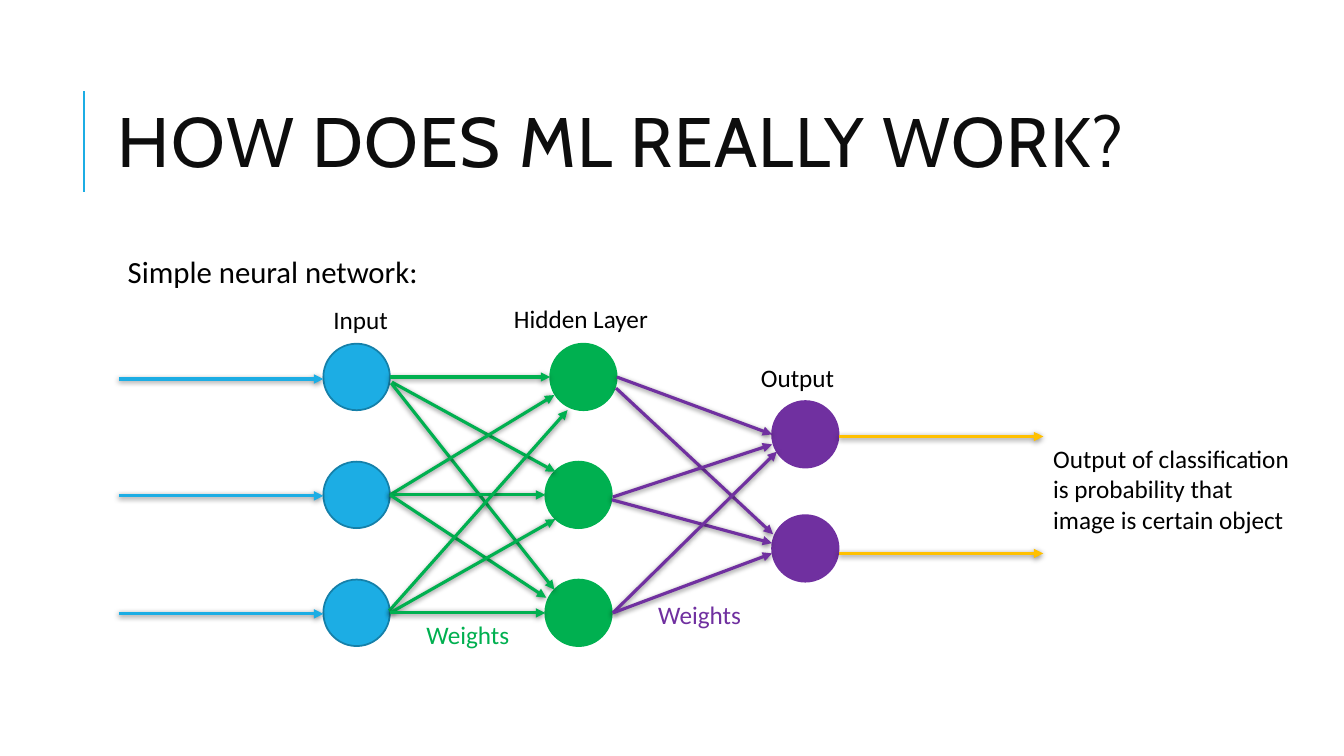
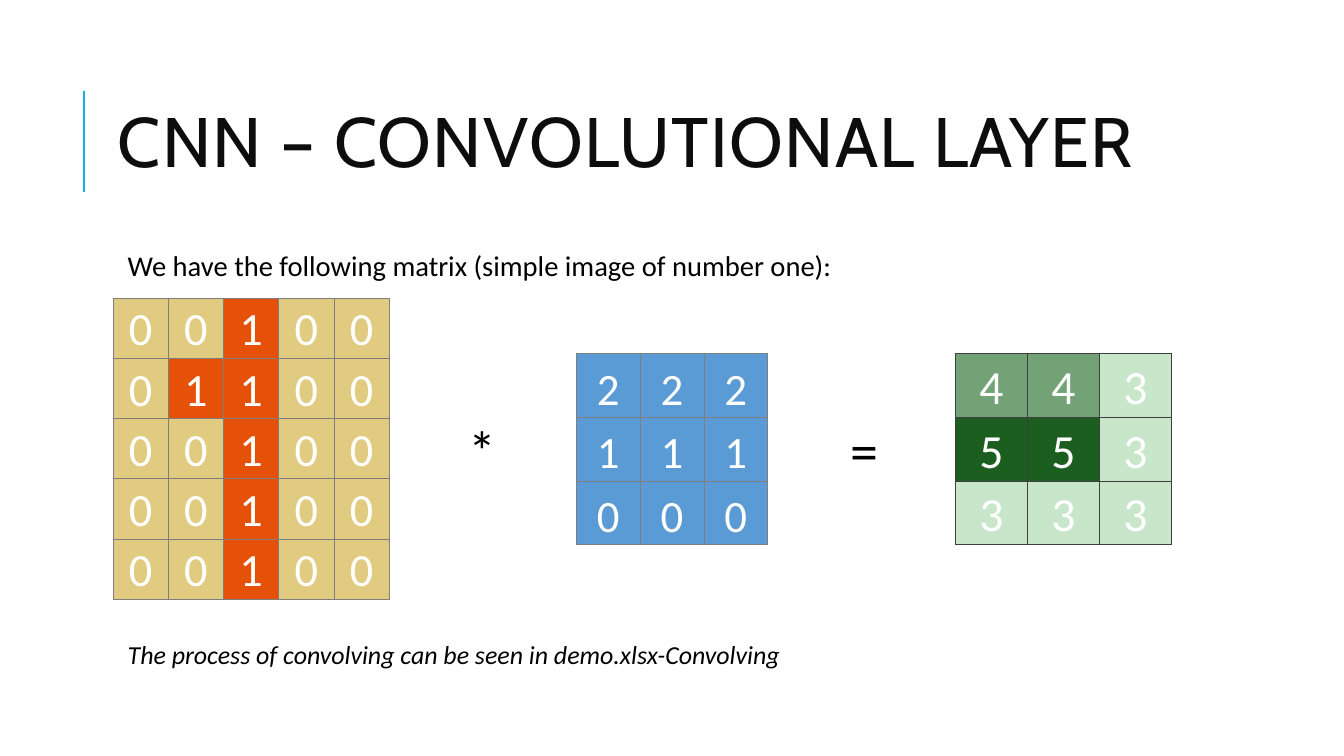
from itertools import product

from lxml.etree import SubElement
from pptx import Presentation
from pptx.dml.color import RGBColor
from pptx.enum.shapes import MSO_CONNECTOR, MSO_SHAPE
from pptx.enum.text import MSO_ANCHOR, PP_ALIGN
from pptx.oxml import parse_xml
from pptx.oxml.ns import nsdecls, qn
from pptx.util import Pt

BLUE, GREEN, PURPLE, AMBER = "1CADE4", "00B050", "7030A0", "FFC000"
BLACK, WHITE, GREY, DARK_GREY = "000000", "FFFFFF", "7F7F7F", "3F3F3F"

NODE_SIZE = 47.5
NODES = [
    (BLUE, "1580A9", [(231, 245.5), (231, 329.75), (231, 414)]),
    (GREEN, GREEN, [(393, 245.5), (389.5, 329.75), (389.5, 414)]),
    (PURPLE, PURPLE, [(551.5, 286.5), (551.5, 368)]),
]
ARROWS = {
    BLUE: [(85, y, 231, y) for y in (270.7, 354.2, 438.5)],
    GREEN: [
        (278.6, 269.3, 393, 269.3),
        (280, 273, 396.7, 337),
        (279.4, 273.6, 396, 421.2),
        (278.6, 353.5, 396, 282.2),
        (278.6, 353.5, 389.5, 353.5),
        (278.6, 353.5, 390.2, 427),
        (278, 436.3, 405.4, 293),
        (278.6, 437.8, 396.7, 370.8),
        (278.6, 437.8, 389.5, 437.8),
    ],
    PURPLE: [
        (440.6, 269.3, 551.5, 310.3),
        (440, 277.2, 552.2, 381.6),
        (437.8, 355, 551.5, 317.5),
        (437, 357, 551.5, 388),
        (437.8, 437.8, 555, 322.6),
        (437.8, 437.8, 551.5, 395.3),
    ],
    AMBER: [(599, y, 745.2, y) for y in (311.8, 395.3)],
}
LABELS = [
    ("Output of classification is probability that image is certain object", 745.2, 313.2, 189.4, BLACK),
    ("Output", 536.4, 255.6, 75.6, BLACK),
    ("Input", 231, 214, 75.6, BLACK),
    ("Hidden Layer", 360, 213, 114.5, BLACK),
    ("Weights", 297.4, 438.5, 75.6, GREEN),
    ("Weights", 463, 424.8, 75.6, PURPLE),
]

IMAGE_FILLS = {"0": "E1CB80", "1": "E65109"}
KERNEL_FILLS = dict.fromkeys("012", "5B9BD5")
RESULT_FILLS = {"3": "C8E6C9", "4": "72A275", "5": "1B5E20"}


def color(value):
    return RGBColor.from_string(value)


def write(frame, text, size=18, ink=BLACK, font="Calibri", italic=False, align=PP_ALIGN.LEFT, spacing=1.0):
    para = frame.paragraphs[0]
    para.alignment = align
    para.line_spacing = spacing
    span = para.add_run()
    span.text = text
    span.font.name = font
    span.font.size = Pt(size)
    span.font.italic = italic
    span.font.color.rgb = color(ink)
    return span


def set_margins(target, left, top, right, bottom):
    target.margin_left, target.margin_top = Pt(left), Pt(top)
    target.margin_right, target.margin_bottom = Pt(right), Pt(bottom)


class Designer:
    def __init__(self):
        self.deck = Presentation()
        self.deck.slide_width, self.deck.slide_height = Pt(960), Pt(540)
        self.page = None

    def add_page(self, title):
        self.page = self.deck.slides.add_slide(self.deck.slide_layouts[5])
        self.add_line((60, 136.8, 60, 64.8), BLUE, 1.5)
        box = self.page.shapes.title
        box.left, box.top, box.width, box.height = Pt(80.6), Pt(46), Pt(765.4), Pt(118)
        frame = box.text_frame
        frame.word_wrap = True
        frame.vertical_anchor = MSO_ANCHOR.MIDDLE
        set_margins(frame, 3.6, 3.6, 3.6, 3.6)
        span = write(frame, title, size=50, ink="0D0D0D", font="Cabin", spacing=0.8)
        span.font._element.set("spc", "100")

    def add_line(self, ends, ink, weight):
        line = self.page.shapes.add_connector(MSO_CONNECTOR.STRAIGHT, *map(Pt, ends))
        line.line.color.rgb = color(ink)
        line.line.width = Pt(weight)
        effects = SubElement(line._element.spPr, qn("a:effectLst"))
        return line, effects

    def add_arrow(self, ends, ink):
        line, effects = self.add_line(ends, ink, 2.25)
        SubElement(line.line._get_or_add_ln(), qn("a:tailEnd"), type="triangle")
        effects.append(parse_xml(
            f'<a:outerShdw {nsdecls("a")} blurRad="{Pt(4)}" dist="{Pt(1)}" dir="5400000" rotWithShape="0">'
            f'<a:srgbClr val="{BLACK}"><a:alpha val="50000"/></a:srgbClr></a:outerShdw>'
        ))

    def add_node(self, left, top, fill, outline):
        node = self.page.shapes.add_shape(
            MSO_SHAPE.OVAL, Pt(left), Pt(top), Pt(NODE_SIZE), Pt(NODE_SIZE))
        node.shadow.inherit = False
        node.fill.solid()
        node.fill.fore_color.rgb = color(fill)
        node.line.color.rgb = color(outline)
        node.line.width = Pt(1.25)

    def add_text(self, text, left, top, width, height=28.8, wrap=True, **style):
        box = self.page.shapes.add_textbox(Pt(left), Pt(top), Pt(width), Pt(height))
        box.text_frame.word_wrap = wrap
        write(box.text_frame, text, **style)

    def add_matrix(self, rows, left, top, cell_width, cell_height, fills, border, size):
        row_count, column_count = len(rows), len(rows[0])
        table = self.page.shapes.add_table(
            row_count, column_count, Pt(left), Pt(top),
            Pt(cell_width * column_count), Pt(cell_height * row_count)).table
        table.first_row = table.horz_banding = False
        for column in table.columns:
            column.width = Pt(cell_width)
        for row in table.rows:
            row.height = Pt(cell_height)
        for row, column in product(range(row_count), range(column_count)):
            digit = rows[row][column]
            self.format_cell(table.cell(row, column), digit, fills[digit], border, size)

    def format_cell(self, cell, digit, fill, border, size):
        set_margins(cell, 2, 2, 2, 0)
        cell.vertical_anchor = MSO_ANCHOR.BOTTOM
        cell.fill.solid()
        cell.fill.fore_color.rgb = color(fill)
        write(cell.text_frame, digit, size=size, ink=WHITE, align=PP_ALIGN.CENTER)
        properties = cell._tc.get_or_add_tcPr()
        for index, side in enumerate("LRTB"):
            properties.insert(index, parse_xml(
                f'<a:ln{side} {nsdecls("a")} w="{Pt(0.5)}"><a:solidFill>'
                f'<a:srgbClr val="{border}"/></a:solidFill></a:ln{side}>'
            ))


def build_network(designer):
    designer.add_page("HOW DOES ML REALLY WORK?")
    designer.add_text("Simple neural network:", 84.2, 180, 762, size=22, spacing=0.9)
    for fill, outline, places in NODES:
        for left, top in places:
            designer.add_node(left, top, fill, outline)
    for ink, arrows in ARROWS.items():
        for ends in arrows:
            designer.add_arrow(ends, ink)
    for text, left, top, width, ink in LABELS:
        designer.add_text(text, left, top, width, ink=ink)


def build_convolution(designer):
    designer.add_page("CNN – CONVOLUTIONAL LAYER")
    designer.add_text("We have the following matrix (simple image of number one):",
                      84.2, 180, 762, size=20.4, spacing=0.7)
    designer.add_matrix(["00100", "01100", "00100", "00100", "00100"],
                        80.6, 213, 39.5, 43, IMAGE_FILLS, GREY, 33)
    designer.add_matrix(["222", "111", "000"], 411.8, 252.7, 45.5, 45.4, KERNEL_FILLS, GREY, 32)
    designer.add_matrix(["443", "553", "333"], 682.5, 252.7, 51.4, 45.4, RESULT_FILLS, DARK_GREY, 34)
    for symbol, left in (("*", 327.6), ("=", 600.5)):
        designer.add_text(symbol, left, 293, 34.6, 55.4, wrap=False, size=40)
    designer.add_text("The process of convolving can be seen in demo.xlsx-Convolving",
                      84.2, 458.5, 762, size=18.5, italic=True, spacing=0.7)


def main():
    designer = Designer()
    build_network(designer)
    build_convolution(designer)
    designer.deck.save("out.pptx")


if __name__ == "__main__":
    main()
